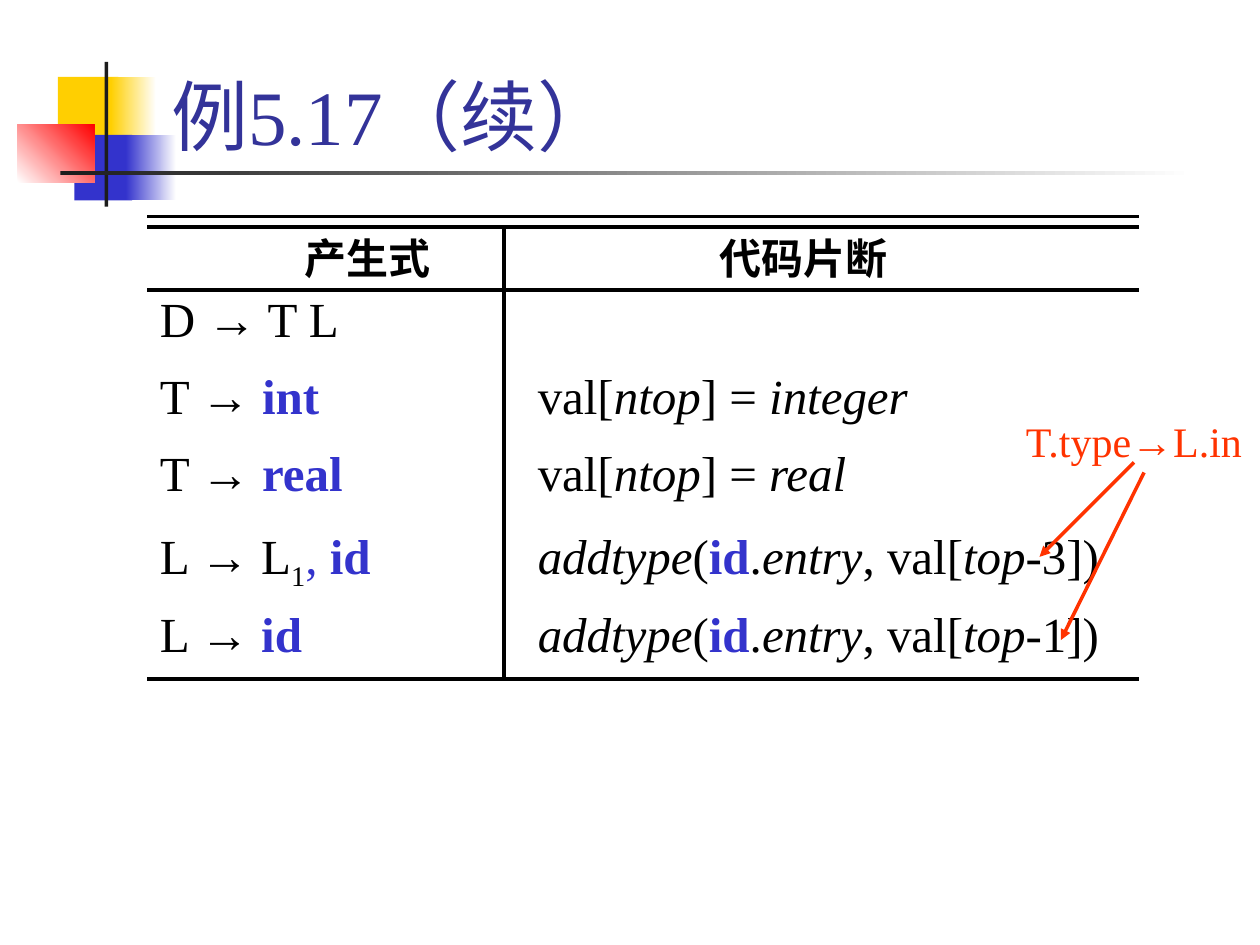
from dataclasses import dataclass

from lxml.etree import SubElement
from pptx import Presentation
from pptx.dml.color import RGBColor
from pptx.enum.shapes import MSO_CONNECTOR as Connector, MSO_SHAPE as Preset
from pptx.enum.text import MSO_ANCHOR as Anchor, PP_ALIGN as Align
from pptx.oxml.ns import qn
from pptx.util import Inches, Pt


@dataclass(frozen=True)
class Theme:
    font: str = "Times New Roman"
    title_size: int = 44
    body_size: int = 28
    label_size: int = 24
    line_width: int = 2
    black: str = "000000"
    white: str = "FFFFFF"
    title: str = "333399"
    blue: str = "3333CC"
    yellow: str = "FFCF01"
    red: str = "FF0000"
    charcoal: str = "1C1C1C"
    note: str = "FF3300"


theme = Theme()
rgb = RGBColor.from_string

presentation = Presentation()
presentation.slide_width, presentation.slide_height = Inches(10), Inches(7.5)
slide = presentation.slides.add_slide(presentation.slide_layouts[6])


def add_text(box, paragraphs, size, color=theme.black, bold=False, align=Align.LEFT,
             anchor=Anchor.TOP, line_spacing=None, space_before=0, tab_stop=None):
    """Add a text box; each paragraph is a list of (text, style) spans."""
    frame = slide.shapes.add_textbox(*map(Inches, box)).text_frame
    frame.word_wrap = True
    frame.vertical_anchor = anchor
    for index, spans in enumerate(paragraphs):
        paragraph = frame.add_paragraph() if index else frame.paragraphs[0]
        paragraph.alignment = align
        if line_spacing:
            paragraph.line_spacing = line_spacing
        if index:
            paragraph.space_before = Pt(space_before)
        if tab_stop:
            tabs = SubElement(paragraph._p.get_or_add_pPr(), qn("a:tabLst"))
            SubElement(tabs, qn("a:tab"), pos=str(Inches(tab_stop)), algn="l")
        for text, style in spans:
            run = paragraph.add_run()
            run.text = text
            run.font.name = theme.font
            run.font.size = Pt(size)
            run.font.bold = bold or style == "keyword"
            run.font.italic = style == "italic"
            run.font.color.rgb = rgb(theme.blue if style in ("keyword", "blue") else color)
            if style == "subscript":
                run.font._element.set("baseline", "-25000")


def add_line(start, end, color=theme.black, arrow=False):
    line = slide.shapes.add_connector(Connector.STRAIGHT, *map(Inches, start + end))
    line.line.color.rgb = rgb(color)
    line.line.width = Pt(theme.line_width)
    if arrow:
        SubElement(line.line._get_or_add_ln(), qn("a:tailEnd"), type="triangle")
    SubElement(line._element.spPr, qn("a:effectLst"))


# Corner decoration: box, start colour, end colour, counterclockwise angle
decoration = [
    ((0.46, 0.61, 0.48, 0.52), theme.yellow, None, 0),
    ((0.88, 0.61, 0.36, 0.52), theme.yellow, theme.white, 0),
    ((0.59, 1.07, 0.46, 0.52), theme.blue, None, 0),
    ((1, 1.07, 0.4, 0.52), theme.blue, theme.white, 0),
    ((0.14, 0.99, 0.61, 0.46), theme.white, theme.red, 45),
    ((0.83, 0.49, 0.03, 1.15), theme.charcoal, None, 0),
    ((0.48, 1.36, 9, 0.03), theme.charcoal, theme.white, 0),
]
for box, start_color, end_color, angle in decoration:
    shape = slide.shapes.add_shape(Preset.RECTANGLE, *map(Inches, box))
    shape.shadow.inherit = False
    shape.line.fill.background()
    if end_color:
        shape.fill.gradient()
        shape.fill.gradient_angle = angle
        for stop, position, color in zip(shape.fill.gradient_stops, (0, 1), (start_color, end_color)):
            stop.position = position
            stop.color.rgb = rgb(color)
    else:
        shape.fill.solid()
        shape.fill.fore_color.rgb = rgb(start_color)

# Title
add_text((1.26, 0.08, 8.52, 1.25), [[("例5.17（续）", "plain")]], theme.title_size,
         color=theme.title, anchor=Anchor.BOTTOM)

# Rules around the productions
left, right, divider = 1.17, 9.04, 4
header_top, header_bottom, bottom = 1.8, 2.3, 5.39
for y in (1.72, header_top, header_bottom, bottom):
    add_line((left, y), (right, y))
add_line((divider, header_top), (divider, bottom))

# Productions and their code, with the code at a tab stop
tab = ("\t", "plain")
rows = [[("D → T L", "plain")]]
for keyword, value in (("int", "integer"), ("real", "real")):
    rows.append([("T → ", "plain"), (keyword, "keyword"), tab, ("val[", "plain"),
                 ("ntop", "italic"), ("] = ", "plain"), (value, "italic")])
list_productions = [
    ([("L → L", "plain"), ("1", "subscript"), (", ", "blue")], "-3])"),
    ([("L → ", "plain")], "-1])"),
]
for production, offset in list_productions:
    rows.append(production + [
        ("id", "keyword"), tab, ("addtype", "italic"), ("(", "plain"), ("id", "keyword"),
        (".", "plain"), ("entry", "italic"), (", val[", "plain"), ("top", "italic"),
        (offset, "plain")])
add_text((left, header_bottom, 8.17, 3.11), rows, theme.body_size,
         line_spacing=0.89, space_before=14, tab_stop=3)

# Column headings
for text, x, width in (("产生式", 2.17, 1.5), ("代码片断", 5.5, 1.75)):
    add_text((x, header_top, width, 0.5), [[(text, "plain")]], theme.label_size,
             bold=True, align=Align.CENTER)

# Note on the inherited attribute, with arrows to both stack offsets
add_text((8, 3.25, 2, 0.5), [[("T.type→L.in", "plain")]], theme.label_size,
         color=theme.note, align=Align.CENTER)
for start, end in (((9, 3.67), (8.25, 4.42)), ((9.08, 3.75), (8.42, 5.08))):
    add_line(start, end, color=theme.note, arrow=True)

presentation.save("out.pptx")
